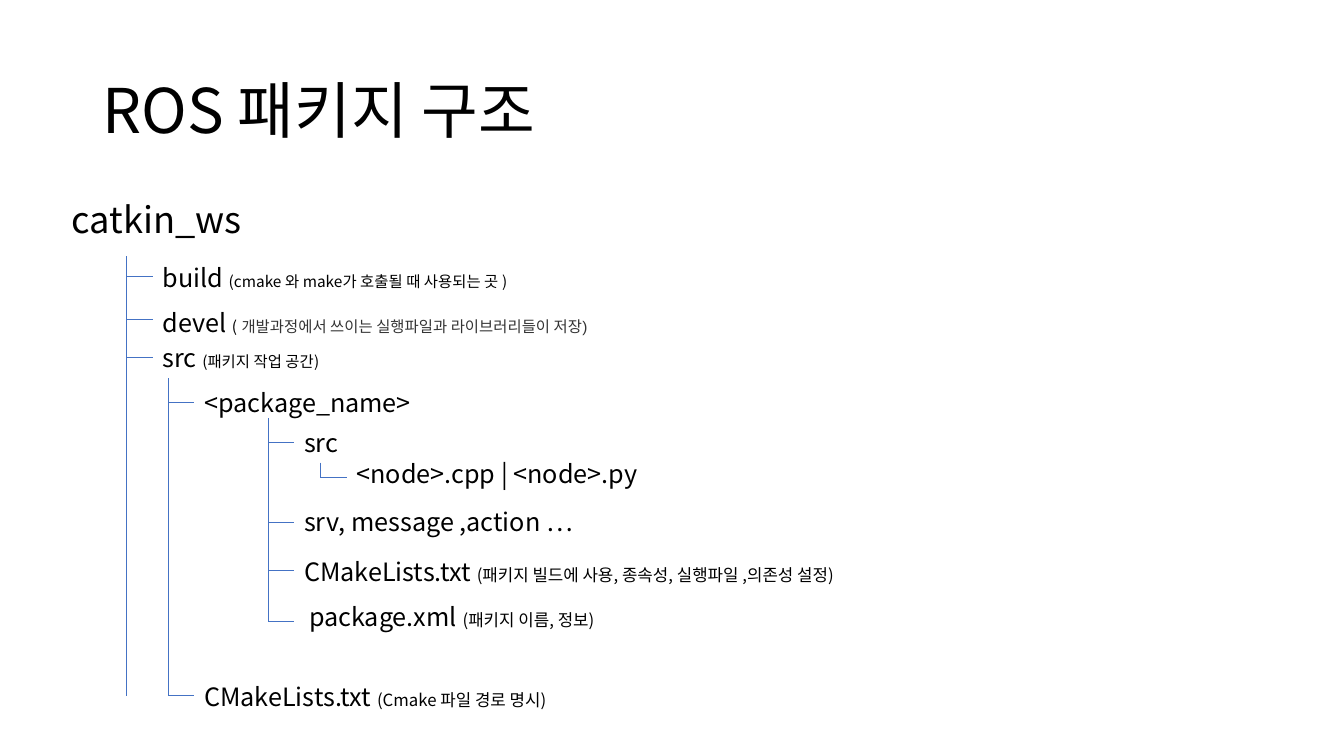
from lxml.etree import SubElement
from pptx import Presentation
from pptx.dml.color import RGBColor
from pptx.enum.shapes import MSO_CONNECTOR as Connector
from pptx.enum.text import MSO_ANCHOR as Anchor, MSO_AUTO_SIZE as AutoSize
from pptx.oxml.ns import qn
from pptx.util import Pt

BLACK = RGBColor(0x00, 0x00, 0x00)
GRAY = RGBColor(0x33, 0x33, 0x33)
BLUE = RGBColor(0x44, 0x72, 0xC4)
FONT = "Noto Sans CJK KR"
TICK = 18.4

BRANCHES = [
    (90.6, 182.9, 496.8, [
        (197.2, 183.6, 283, "build ", [("(cmake 와 make가 호출될 때 사용되는 곳 )", 11)]),
        (228.2, 216, 480, "devel ", [("(", 11), (" 개발과정에서 쓰이는 실행파일과 라이브러리들이 저장)", 11, GRAY, "Arial")]),
        (255.6, 241.2, 480, "src ", [("(패키지 작업 공간)", 11)]),
    ]),
    (120.4, 270, 496.8, [
        (287.2, 272.9, 480, "<package_name>", []),
        (496.8, 483.1, 480, "CMakeLists.txt ", [("(Cmake 파일 경로 명시)", 12)]),
    ]),
    (191.7, 298.8, 444.6, [
        (316.2, 301.7, 480, "src", []),
        (373, 357.8, 525, "srv, message ,action …", []),
        (407.6, 393.8, 545, "CMakeLists.txt ", [("(패키지 빌드에 사용, 종속성, 실행파일 ,의존성 설정)", 12)]),
        (443.6, 426.3, 554.4, "package.xml ", [("(패키지 이름, 정보)", 12)]),
    ]),
    (229.2, 330.5, 341.3, [
        (341.3, 324, 480, "<node>.cpp | <node>.py", []),
    ]),
]


def add_run(paragraph, text, size=18, color=BLACK, font=FONT):
    """Append one formatted run to a paragraph."""
    run = paragraph.add_run()
    run.text = text
    run.font.size = Pt(size)
    run.font.color.rgb = color
    run.font.name = font
    SubElement(run.font._element, qn("a:ea")).set("typeface", FONT)


class TreeSlide:
    """Style and drawing methods for the package tree slide."""

    def __init__(self, slide):
        self.shapes = slide.shapes
        self.line_color = BLUE
        self.line_width = Pt(0.5)

    def text(self, left, top, width, height, runs, anchor=Anchor.TOP, spacing=None, grow=False):
        box = self.shapes.add_textbox(Pt(left), Pt(top), Pt(width), Pt(height))
        frame = box.text_frame
        frame.word_wrap = True
        frame.auto_size = AutoSize.SHAPE_TO_FIT_TEXT if grow else AutoSize.NONE
        frame.vertical_anchor = anchor
        paragraph = frame.paragraphs[0]
        paragraph.line_spacing = spacing
        for run in runs:
            add_run(paragraph, *run)

    def line(self, x1, y1, x2, y2):
        connector = self.shapes.add_connector(Connector.STRAIGHT, Pt(x1), Pt(y1), Pt(x2), Pt(y2))
        connector.line.color.rgb = self.line_color
        connector.line.width = self.line_width
        SubElement(connector._element.spPr, qn("a:effectLst"))

    def branch(self, x, top, bottom, entries):
        self.line(x, top, x, bottom)
        for tick_y, label_top, width, name, notes in entries:
            self.line(x, tick_y, x + TICK, tick_y)
            indent = 3.6 if name.startswith("package.xml") else 0
            self.text(x + TICK + indent, label_top, width, 29, [(name, 18), *notes], grow=True)


def main():
    presentation = Presentation()
    presentation.slide_width, presentation.slide_height = Pt(960), Pt(540)
    tree = TreeSlide(presentation.slides.add_slide(presentation.slide_layouts[6]))
    tree.text(66, 28.8, 828, 104.4, [("ROS 패키지 구조", 44)], anchor=Anchor.MIDDLE, spacing=0.9)
    tree.text(44, 143.3, 231, 32.4, [("catkin_ws", 25.9)], spacing=0.8)
    for branch in BRANCHES:
        tree.branch(*branch)
    presentation.save("out.pptx")


if __name__ == "__main__":
    main()
